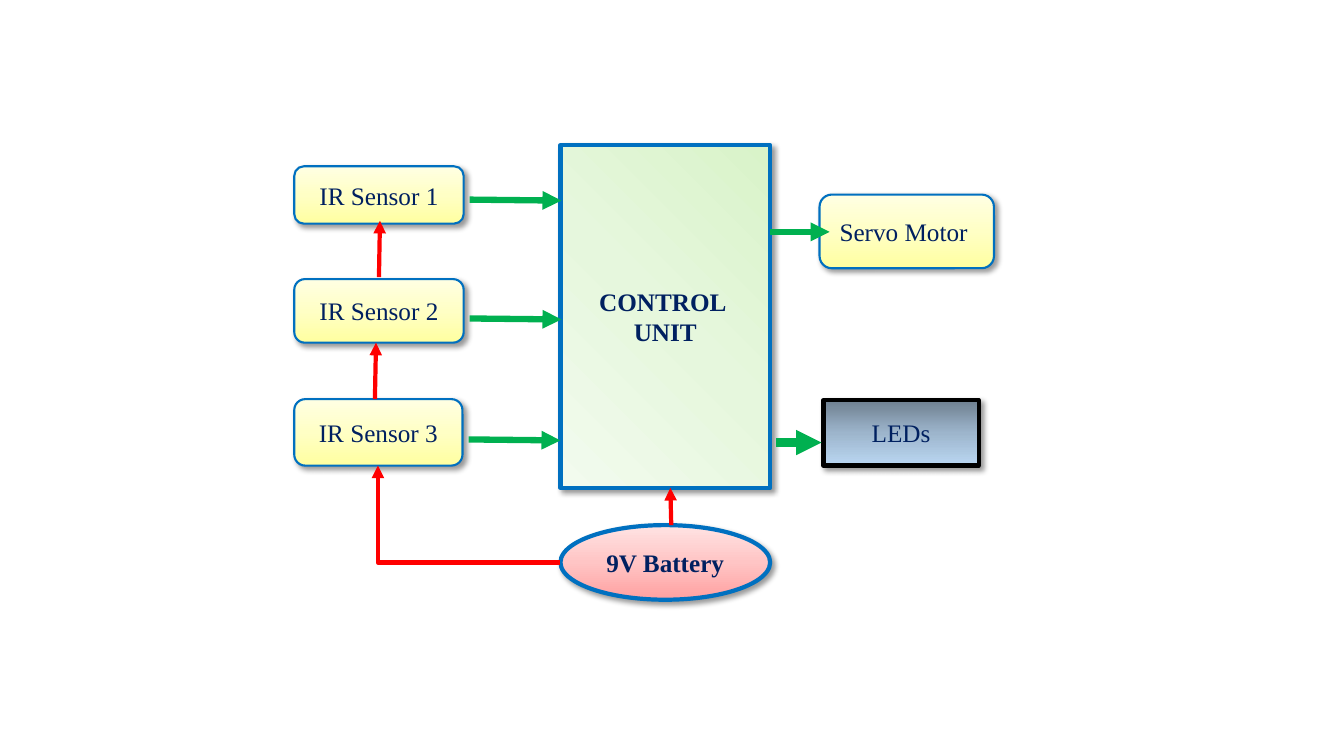
from lxml.etree import SubElement
from pptx import Presentation
from pptx.dml.color import RGBColor
from pptx.enum.shapes import MSO_CONNECTOR as LINK, MSO_SHAPE as SHAPE
from pptx.enum.text import MSO_ANCHOR, PP_ALIGN
from pptx.oxml import parse_xml
from pptx.oxml.ns import nsdecls, qn
from pptx.util import Pt

NAVY = RGBColor(0x00, 0x20, 0x60)
BLUE = RGBColor(0x00, 0x70, 0xC0)
BLACK = RGBColor(0x00, 0x00, 0x00)
RED = RGBColor(0xFF, 0x00, 0x00)
GREEN = RGBColor(0x00, 0xB0, 0x50)
# Gradients: colours at 0, 50 and 100 percent
MINT = [RGBColor(0xD9, 0xF3, 0xC9), RGBColor(0xE6, 0xF7, 0xDD), RGBColor(0xF2, 0xFB, 0xEE)]
YELLOW = [RGBColor(0xFF, 0xFF, 0xA0), RGBColor(0xFF, 0xFF, 0xC5), RGBColor(0xFF, 0xFF, 0xE3)]
PINK = [RGBColor(0xFF, 0xA0, 0xA0), RGBColor(0xFF, 0xC5, 0xC5), RGBColor(0xFF, 0xE3, 0xE3)]
STEEL = [RGBColor(0x6E, 0x7F, 0x8F), RGBColor(0x9D, 0xB5, 0xCC), RGBColor(0xBA, 0xD7, 0xF2)]


def add_block(page, kind, place, text, colours, angle, edge, width, bold=False):
    """Add a gradient block with a soft shadow and centred text."""
    box = page.shapes.add_shape(kind, *[Pt(value) for value in place])
    box.line.color.rgb = edge
    box.line.width = Pt(width)
    properties = box.element.spPr
    stops = "".join(
        f'<a:gs pos="{index * 50000}"><a:srgbClr val="{colour}"/></a:gs>'
        for index, colour in enumerate(colours))
    gradient = parse_xml(
        f'<a:gradFill {nsdecls("a")} rotWithShape="1"><a:gsLst>{stops}</a:gsLst>'
        f'<a:lin ang="{angle * 60000}" scaled="0"/></a:gradFill>')
    properties.find(qn("a:prstGeom")).addnext(gradient)
    box.shadow.inherit = False
    properties.find(qn("a:effectLst")).append(parse_xml(
        f'<a:outerShdw {nsdecls("a")} blurRad="{Pt(4)}" dist="{Pt(3)}" dir="2700000" '
        f'algn="tl" rotWithShape="0"><a:srgbClr val="{BLACK}"><a:alpha val="40000"/>'
        '</a:srgbClr></a:outerShdw>'))
    frame = box.text_frame
    frame.vertical_anchor = MSO_ANCHOR.MIDDLE
    frame.text = text
    for para in frame.paragraphs:
        para.alignment = PP_ALIGN.CENTER
        para.font.name = "Times New Roman"
        para.font.size = Pt(18)
        para.font.bold = bold
        para.font.color.rgb = NAVY


def add_arrow(page, kind, ends, colour, width):
    """Add a connector with a triangle at its end and return it."""
    arrow = page.shapes.add_connector(kind, *[Pt(value) for value in ends])
    arrow.line.color.rgb = colour
    arrow.line.width = Pt(width)
    SubElement(arrow.line._get_or_add_ln(), qn("a:tailEnd"), type="triangle")
    SubElement(arrow._element.spPr, qn("a:effectLst"))
    return arrow


deck = Presentation()
deck.slide_width, deck.slide_height = Pt(960), Pt(540)
page = deck.slides.add_slide(deck.slide_layouts[6])

# Controller, power supply and LEDs
add_block(page, SHAPE.RECTANGLE, (400.3, 103.7, 149.8, 244.8), "CONTROL \nUNIT",
          MINT, 135, BLUE, 3, bold=True)
add_block(page, SHAPE.OVAL, (400.3, 375.1, 149.8, 53.3), "9V Battery",
          PINK, 270, BLUE, 3, bold=True)
add_block(page, SHAPE.RECTANGLE, (588.2, 285.8, 110.9, 46.8), "LEDs",
          STEEL, 90, BLACK, 3)

# Sensors and motor
yellow_blocks = [
    ("IR Sensor 1", (210.2, 118.8, 121, 41)),
    ("IR Sensor 2", (210.2, 199.4, 121, 45.4)),
    ("IR Sensor 3", (210.2, 285.1, 120.2, 47.5)),
    ("Servo Motor ", (585.4, 139, 124.6, 52.6)),
]
for text, place in yellow_blocks:
    add_block(page, SHAPE.ROUNDED_RECTANGLE, place, text, YELLOW, 270, BLUE, 1.5)

# Signals: sensors to controller, controller to outputs
for left, top in [(335.5, 142.6), (335.5, 227.5), (334.8, 313.9)]:
    add_arrow(page, LINK.STRAIGHT, (left, top, left + 65.5, top + 0.7), GREEN, 4.5)
add_arrow(page, LINK.STRAIGHT, (550.1, 165.6, 592.6, 165.6), GREEN, 4.5)
add_arrow(page, LINK.STRAIGHT, (554.4, 316.1, 586.8, 316.1), GREEN, 6)

# Power: battery to controller and up through the sensors
power_lines = [
    (479.5, 375.1, 478.8, 348.5),
    (267.8, 285.1, 268.6, 244.8),
    (270.7, 198, 271.4, 157.7),
]
for ends in power_lines:
    add_arrow(page, LINK.STRAIGHT, ends, RED, 3)
bend = add_arrow(page, LINK.ELBOW, (400.3, 401.8, 270, 332.6), RED, 3)
bend._element.spPr.find(qn("a:prstGeom")).set("prst", "bentConnector2")

deck.save("out.pptx")
